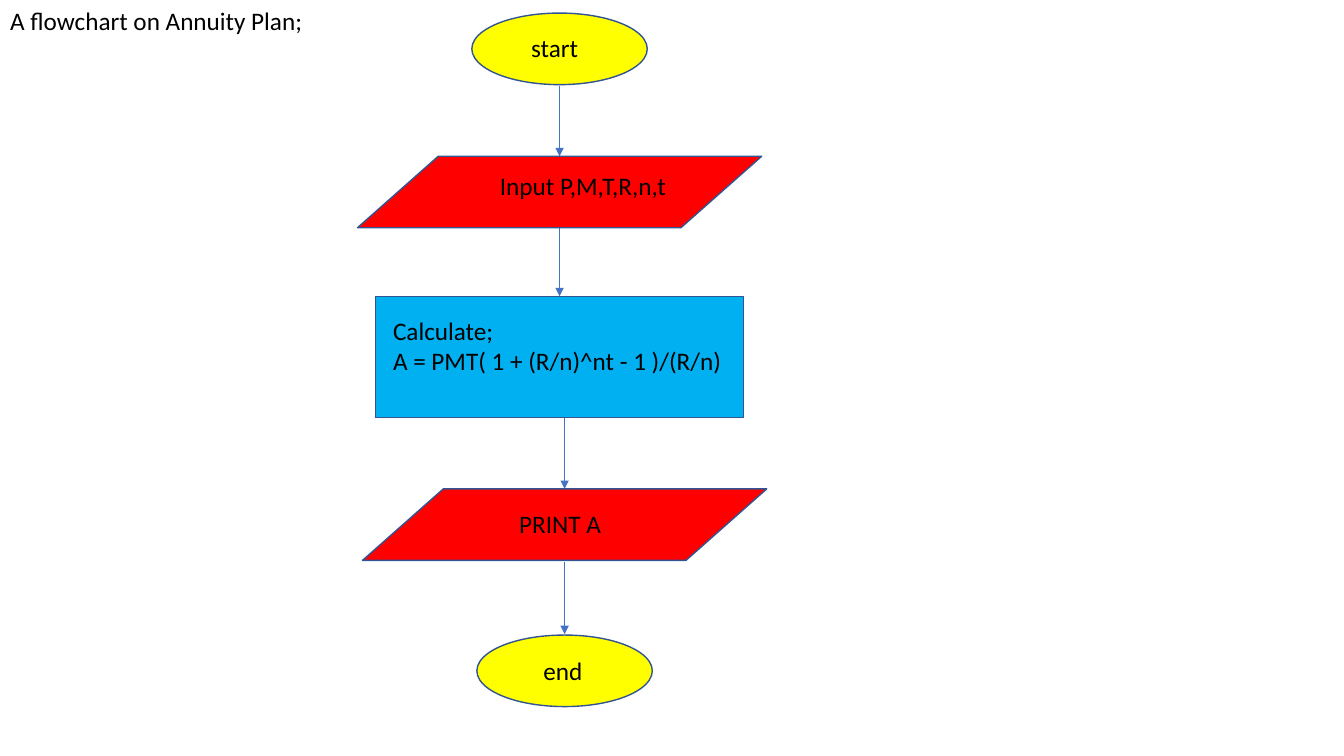
from lxml.etree import SubElement
from pptx import Presentation
from pptx.dml.color import RGBColor
from pptx.enum.shapes import MSO_CONNECTOR, MSO_SHAPE
from pptx.enum.text import MSO_ANCHOR, MSO_AUTO_SIZE, PP_ALIGN
from pptx.oxml.ns import qn
from pptx.util import Inches, Pt

BLACK = RGBColor(0x00, 0x00, 0x00)
YELLOW = RGBColor(0xFF, 0xFF, 0x00)
RED = RGBColor(0xFF, 0x00, 0x00)
SKY = RGBColor(0x00, 0xB0, 0xF0)
NAVY = RGBColor(0x32, 0x54, 0x91)
BLUE = RGBColor(0x44, 0x72, 0xC4)

OVAL = (MSO_SHAPE.OVAL, 1.74, 0.71, YELLOW)
DATA = (MSO_SHAPE.FLOWCHART_DATA, 4.01, 0.71, RED)
PROCESS = (MSO_SHAPE.RECTANGLE, 3.65, 1.2, SKY)
UPPER, LOWER = 5.55, 5.6

STEPS = [
    (OVAL, UPPER, 0.13, "start", (5.17, 0.27, 0.86, 0.4)),
    (DATA, UPPER, 1.55, "Input P,M,T,R,n,t", (4.86, 1.64, 2.51, 0.4)),
    (PROCESS, UPPER, 2.94, "Calculate;\nA = PMT( 1 + (R/n)^nt - 1 )/(R/n)",
     (3.8, 3.08, 3.5, 0.71)),
    (DATA, LOWER, 4.85, "PRINT A", (5.05, 4.99, 1.95, 0.4)),
    (OVAL, LOWER, 6.3, "end", (5.29, 6.45, 0.74, 0.4)),
]
ARROWS = [(UPPER, 0.85, 1.55), (UPPER, 2.23, 2.94),
          (LOWER, 4.14, 4.85), (LOWER, 5.58, 6.29)]


def write(frame, text, size=18, font="Calibri", color=BLACK):
    frame.text = text
    frame.word_wrap = True
    frame.auto_size = MSO_AUTO_SIZE.SHAPE_TO_FIT_TEXT
    frame.vertical_anchor = MSO_ANCHOR.TOP
    for line in frame.paragraphs:
        line.alignment = PP_ALIGN.LEFT
        line.font.size = Pt(size)
        line.font.name = font
        line.font.color.rgb = color


def add_title(slide, text, left, top, width, height):
    title = slide.shapes.title
    title.left, title.top = Inches(left), Inches(top)
    title.width, title.height = Inches(width), Inches(height)
    write(title.text_frame, text)


def add_node(slide, style, center, top):
    kind, width, height, color = style
    node = slide.shapes.add_shape(kind, Inches(center - width / 2), Inches(top),
                                  Inches(width), Inches(height))
    node.shadow.inherit = False
    node.fill.solid()
    node.fill.fore_color.rgb = color
    node.line.color.rgb = NAVY
    node.line.width = Pt(1)


def add_label(slide, text, box):
    label = slide.shapes.add_textbox(*map(Inches, box))
    write(label.text_frame, text)


def add_arrow(slide, x, top, bottom):
    arrow = slide.shapes.add_connector(MSO_CONNECTOR.STRAIGHT, Inches(x),
                                       Inches(top), Inches(x), Inches(bottom))
    arrow.line.color.rgb = BLUE
    arrow.line.width = Pt(0.5)
    SubElement(arrow.line._get_or_add_ln(), qn("a:tailEnd"), type="triangle")
    SubElement(arrow._element.spPr, qn("a:effectLst"))


def main():
    deck = Presentation()
    deck.slide_width, deck.slide_height = Inches(13.33), Inches(7.5)
    slide = deck.slides.add_slide(deck.slide_layouts.get_by_name("Title Only"))
    add_title(slide, "A flowchart on Annuity Plan;", 0, 0, 3.57, 0.4)
    for arrow in ARROWS:
        add_arrow(slide, *arrow)
    for style, center, top, text, box in STEPS:
        add_node(slide, style, center, top)
        add_label(slide, text, box)
    deck.save("out.pptx")


if __name__ == "__main__":
    main()
